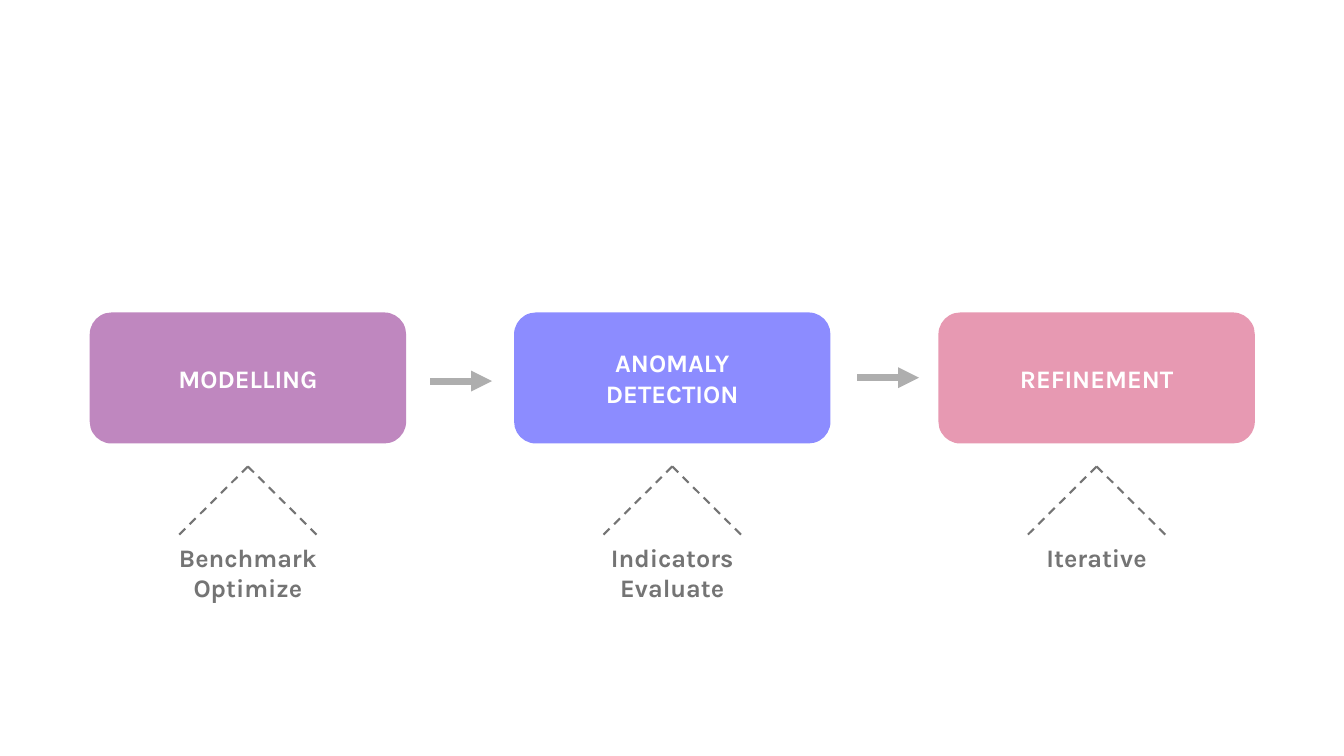
from dataclasses import dataclass

import pptx
import pptx.dml.color
import pptx.enum.dml
import pptx.enum.shapes
import pptx.enum.text
import pptx.oxml
import pptx.oxml.ns
import pptx.util
from pptx.util import Pt

FONT, TEXT_SIZE = "Karla", 18
WHITE, GREY, ARROW_GREY = "FFFFFF", "747474", "AEAEAE"

FIRST_CENTER, PITCH = 177.1, 303.1
BOX_TOP, BOX_W, BOX_H = 223.2, 226, 93.6
APEX_Y, FOOT_Y, HALF_SPREAD = 333.2, 383.8, 51
NOTE_W, LINE_H, PADDING = 150, 22, 7.2


@dataclass
class Stage:
    title: list[str]
    fill: str
    notes: list[str]


@dataclass
class Arrow:
    x: float
    y: float
    length: float = 44.3


STAGES = [
    Stage(["MODELLING"], "BF87BF", ["Benchmark", "Optimize"]),
    Stage(["ANOMALY", "DETECTION"], "8C8CFF", ["Indicators", "Evaluate"]),
    Stage(["REFINEMENT"], "E799B2", ["Iterative"]),
]
ARROWS = [Arrow(307.2, 272.2), Arrow(612.2, 269.8)]


def rgb(value: str) -> pptx.dml.color.RGBColor:
    return pptx.dml.color.RGBColor.from_string(value)


def write_lines(tf, lines: list[str], color: str) -> None:
    tf.word_wrap = True
    for i, line in enumerate(lines):
        p = tf.paragraphs[0] if i == 0 else tf.add_paragraph()
        p.text = line
        p.alignment = pptx.enum.text.PP_ALIGN.CENTER
        p.font.name = FONT
        p.font.size = Pt(TEXT_SIZE)
        p.font.bold = True
        p.font.color.rgb = rgb(color)


def add_line(s, x1: float, y1: float, x2: float, y2: float, color: str, width: float):
    line = s.shapes.add_connector(
        pptx.enum.shapes.MSO_CONNECTOR.STRAIGHT, Pt(x1), Pt(y1), Pt(x2), Pt(y2))
    line.line.color.rgb = rgb(color)
    line.line.width = Pt(width)
    pptx.oxml.ns.qn("a:effectLst")
    line._element.spPr.append(pptx.oxml.parse_xml(
        f'<a:effectLst {pptx.oxml.ns.nsdecls("a")}/>'))
    return line


def add_box(s, center: float, stage: Stage) -> None:
    sp = s.shapes.add_shape(
        pptx.enum.shapes.MSO_SHAPE.ROUNDED_RECTANGLE,
        Pt(center - BOX_W / 2), Pt(BOX_TOP), Pt(BOX_W), Pt(BOX_H))
    sp.shadow.inherit = False
    sp.fill.solid()
    sp.fill.fore_color.rgb = rgb(stage.fill)
    sp.line.fill.background()
    sp.text_frame.vertical_anchor = pptx.enum.text.MSO_ANCHOR.MIDDLE
    write_lines(sp.text_frame, stage.title, WHITE)


def add_notes_below(s, center: float, notes: list[str]) -> None:
    """Draw the dashed roof under a stage and the words beneath it."""
    for side in (-1, 1):
        line = add_line(s, center, APEX_Y, center + side * HALF_SPREAD, FOOT_Y, GREY, 1.5)
        line.line.dash_style = pptx.enum.dml.MSO_LINE.DASH
    sp = s.shapes.add_textbox(
        Pt(center - NOTE_W / 2), Pt(FOOT_Y), Pt(NOTE_W), Pt(PADDING + LINE_H * len(notes)))
    write_lines(sp.text_frame, notes, GREY)
    sp.text_frame.auto_size = pptx.enum.text.MSO_AUTO_SIZE.SHAPE_TO_FIT_TEXT


def add_arrow(s, arrow: Arrow) -> None:
    line = add_line(s, arrow.x, arrow.y, arrow.x + arrow.length, arrow.y, ARROW_GREY, 5)
    line.line._get_or_add_ln().append(pptx.oxml.parse_xml(
        f'<a:tailEnd {pptx.oxml.ns.nsdecls("a")} type="triangle"/>'))


def main() -> None:
    prs = pptx.Presentation()
    prs.slide_width, prs.slide_height = Pt(960), Pt(540)
    s = prs.slides.add_slide(prs.slide_layouts[6])
    for i, stage in enumerate(STAGES):
        center = FIRST_CENTER + i * PITCH
        add_box(s, center, stage)
        add_notes_below(s, center, stage.notes)
    for arrow in ARROWS:
        add_arrow(s, arrow)
    prs.save("out.pptx")


if __name__ == "__main__":
    main()
